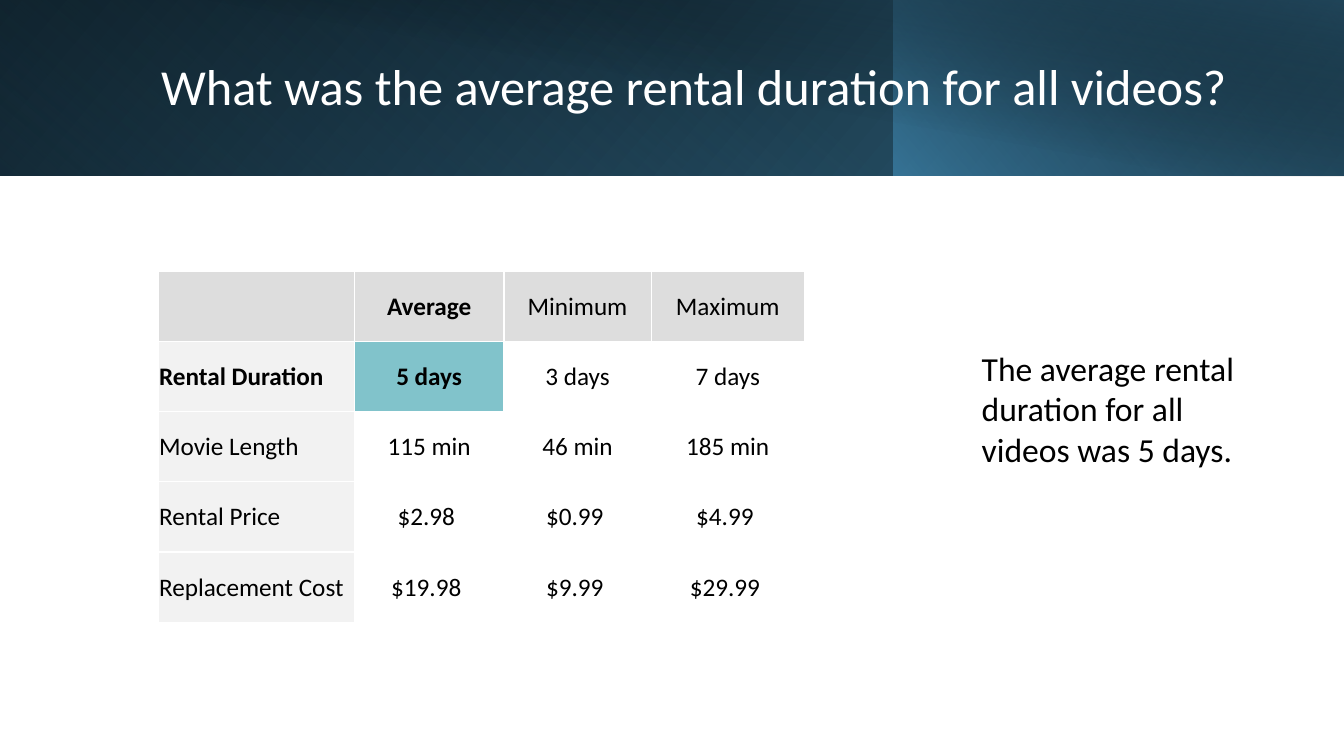
from lxml import etree
from pptx import Presentation
from pptx import util as u
from pptx.dml.color import RGBColor
from pptx.enum import shapes, text
from pptx.oxml import parse_xml
from pptx.oxml.ns import nsdecls, qn


def rgb(hex_string):
    return RGBColor.from_string(hex_string)


class Deck:
    FONT = "Calibri"
    INK, WHITE = "000000", "FFFFFF"
    HEAD, LABEL, ACCENT = "DDDDDD", "F2F2F2", "81C3CB"

    def __init__(self, width, height):
        self.prs = Presentation()
        self.prs.slide_width, self.prs.slide_height = u.Cm(width), u.Cm(height)
        self.s = self.prs.slides.add_slide(self.prs.slide_layouts[6])

    def set_text(self, p, words, size, color, bold=False):
        p.text = words
        p.font.name, p.font.size, p.font.bold = self.FONT, u.Pt(size), bold
        p.font.color.rgb = rgb(color)

    def band(self, box, stops, angle, flip=True, rotation=0):
        """Borderless rectangle; stops are (position %, colour, opacity %), angle is clockwise."""
        sp = self.s.shapes.add_shape(shapes.MSO_SHAPE.RECTANGLE, *map(u.Cm, box))
        sp.shadow.inherit = False
        sp.line.fill.background()
        sp.rotation = rotation
        if flip:
            sp.element.spPr.find(qn("a:xfrm")).set("flipH", "1")
        sp.fill.gradient()
        grad = sp.element.spPr.find(qn("a:gradFill"))
        stop_list = grad.find(qn("a:gsLst"))
        for old in list(stop_list):
            stop_list.remove(old)
        for position, color, opacity in stops:
            stop = etree.SubElement(stop_list, qn("a:gs"), pos=str(position * 1000))
            clr = etree.SubElement(stop, qn("a:srgbClr"), val=color)
            if opacity < 100:
                etree.SubElement(clr, qn("a:alpha"), val=str(opacity * 1000))
        lin = grad.find(qn("a:lin"))
        lin.set("ang", str(angle * 60000))
        lin.set("scaled", "0")

    def textbox(self, box, words, size, color, anchor=text.MSO_ANCHOR.TOP, spacing=None):
        tf = self.s.shapes.add_textbox(*map(u.Cm, box)).text_frame
        tf.word_wrap = True
        tf.vertical_anchor = anchor
        self.set_text(tf.paragraphs[0], words, size, color)
        tf.paragraphs[0].line_spacing = spacing
        return tf

    def borders(self, cell):
        tc_pr = cell._tc.get_or_add_tcPr()
        for side in "LRTB":
            tc_pr.append(parse_xml(
                f'<a:ln{side} {nsdecls("a")} w="12700"><a:solidFill>'
                f'<a:srgbClr val="{self.WHITE}"/></a:solidFill></a:ln{side}>'))

    def table(self, left, top, widths, row_height, rows, highlight):
        """Header row and label column are shaded; highlight is the (row, column) in focus."""
        tbl = self.s.shapes.add_table(
            len(rows), len(widths), u.Cm(left), u.Cm(top),
            u.Cm(sum(widths)), u.Cm(row_height * len(rows))).table
        tbl.first_row = tbl.horz_banding = False
        for column, width in zip(tbl.columns, widths):
            column.width = u.Cm(width)
        focus_row, focus_col = highlight
        for i, row in enumerate(rows):
            tbl.rows[i].height = u.Cm(row_height)
            for j, words in enumerate(row):
                cell = tbl.cell(i, j)
                self.borders(cell)
                fill = (self.ACCENT if (i, j) == highlight else
                        self.HEAD if i == 0 else self.LABEL if j == 0 else None)
                if fill:
                    cell.fill.solid()
                    cell.fill.fore_color.rgb = rgb(fill)
                else:
                    cell.fill.background()
                cell.margin_left = cell.margin_right = cell.margin_top = u.Cm(0.02)
                cell.margin_bottom = 0
                cell.vertical_anchor = text.MSO_ANCHOR.MIDDLE
                bold = (i, j) in {highlight, (0, focus_col), (focus_row, 0)}
                p = cell.text_frame.paragraphs[0]
                self.set_text(p, words, 18, self.INK, bold)
                p.alignment = text.PP_ALIGN.CENTER if j else text.PP_ALIGN.LEFT


def main():
    deck = Deck(33.87, 19.05)

    deck.band((0, 0, 33.87, 4.43), [(0, "000000", 100), (100, "316886", 100)], 140)
    deck.band((0, 0, 22.55, 4.43), [(20, "418AB3", 0), (100, "20455A", 55)], 230, rotation=180)
    deck.band((22.53, 0, 11.34, 4.43), [(0, "418AB3", 66), (100, "000000", 30)], 220)
    deck.band((1.27, 0, 32.6, 4.44), [(50, "000000", 0), (99, "20455A", 52)], 280, flip=False)

    deck.textbox((3.81, 0.81, 27.48, 2.87),
                 "What was the average rental duration for all videos?",
                 36, deck.WHITE, text.MSO_ANCHOR.MIDDLE, 0.9)

    rows = [
        ("", "Average", "Minimum", "Maximum"),
        ("Rental Duration", "5 days", "3 days", "7 days"),
        ("Movie Length", "115 min", "46 min", "185 min"),
        ("Rental Price", "$2.98 ", "$0.99 ", "$4.99 "),
        ("Replacement Cost", "$19.98 ", "$9.99 ", "$29.99 "),
    ]
    deck.table(3.99, 6.83, (4.94, 3.77, 3.71, 3.86), 1.77, rows, highlight=(1, 1))

    answer = deck.textbox((24.49, 8.64, 7.32, 3.33),
                          "The average rental duration for all videos was 5 days.",
                          24, deck.INK)
    answer.auto_size = text.MSO_AUTO_SIZE.SHAPE_TO_FIT_TEXT

    deck.prs.save("out.pptx")


if __name__ == "__main__":
    main()
